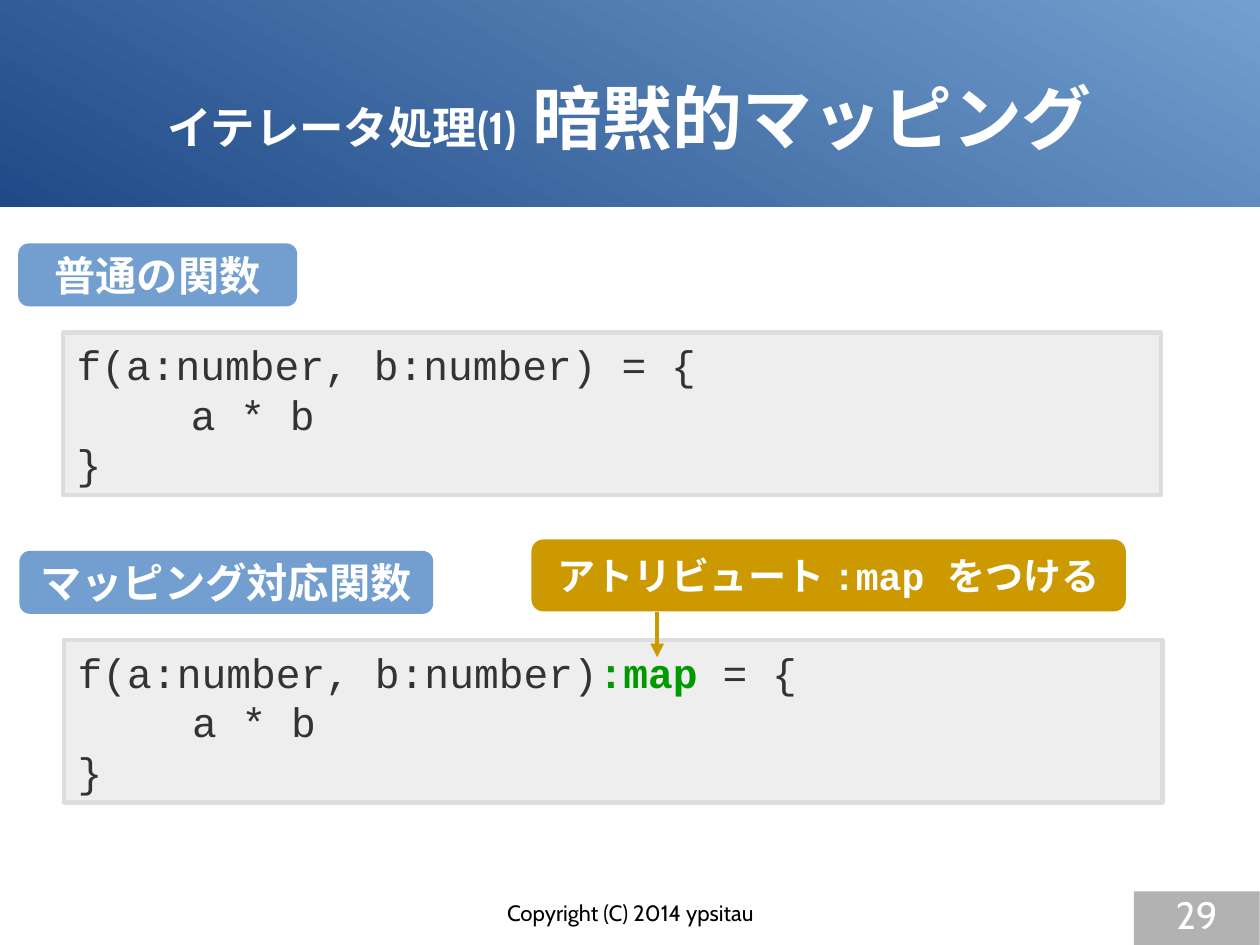
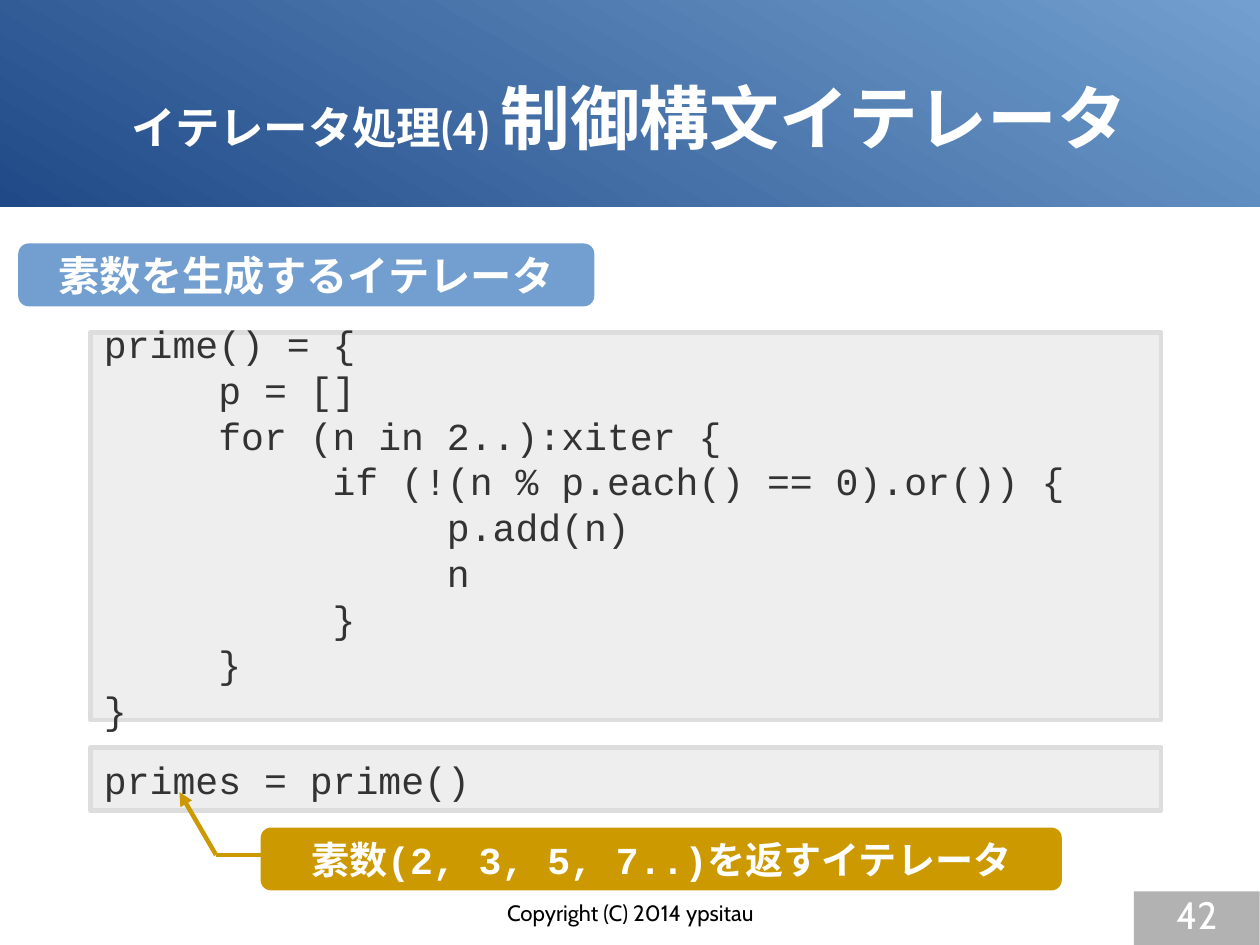
from pptx import Presentation
from pptx.dml.color import RGBColor
from pptx.enum.shapes import MSO_CONNECTOR, MSO_SHAPE
from pptx.enum.text import MSO_ANCHOR, MSO_AUTO_SIZE, PP_ALIGN
from pptx.oxml.ns import qn
from pptx.util import Inches, Pt
from lxml.etree import SubElement

COLORS = {
    "navy": "204A87", "sky": "729FCF", "gold": "CC9900", "green": "009900",
    "panel": "EEEEEE", "border": "DDDDDD", "code": "333333",
    "gray": "B2B2B2", "white": "FFFFFF", "black": "000000",
}
SANS = "Cabin"
MONO = "Courier New"
LINE_WIDTH = Pt(2.83)

STYLES = {
    "code": dict(shape=MSO_SHAPE.RECTANGLE, fill="panel", line="border", font=MONO, color="code",
                 bold=False, align=PP_ALIGN.LEFT, anchor=MSO_ANCHOR.MIDDLE, inset=(0.12, 0.07)),
    "heading": dict(shape=MSO_SHAPE.ROUNDED_RECTANGLE, fill="sky", line=None, font=SANS, color="white",
                    bold=True, align=PP_ALIGN.CENTER, anchor=MSO_ANCHOR.MIDDLE, inset=(0.1, 0.05)),
    "callout": dict(shape=MSO_SHAPE.ROUNDED_RECTANGLE, fill="gold", line=None, font=MONO, color="white",
                    bold=True, align=PP_ALIGN.CENTER, anchor=MSO_ANCHOR.MIDDLE, inset=(0.1, 0.05)),
    "footer": dict(shape=MSO_SHAPE.RECTANGLE, fill=None, line=None, font=SANS, color="black",
                   bold=False, align=PP_ALIGN.CENTER, anchor=MSO_ANCHOR.TOP, inset=(0, 0)),
    "number": dict(shape=MSO_SHAPE.RECTANGLE, fill="gray", line=None, font=SANS, color="white",
                   bold=False, align=PP_ALIGN.CENTER, anchor=MSO_ANCHOR.TOP, inset=(0, 0)),
}

SLIDES = [
    {
        "title": [("イテレータ処理(1)", 28), (" 暗黙的マッピング", 44)],
        "number": "29",
        "boxes": [
            ("code", (0.55, 2.91, 9.61, 1.42), 26, ["f(a:number, b:number) = {", "\ta * b", "}"]),
            ("heading", (0.16, 2.13, 2.44, 0.55), 26, ["普通の関数"]),
            ("code", (0.56, 5.6, 9.61, 1.42), 26, ["f(a:number, b:number)|:map| = {", "\ta * b", "}"]),
            ("heading", (0.17, 4.82, 3.62, 0.55), 26, ["マッピング対応関数"]),
            ("callout", (4.65, 4.72, 5.2, 0.63), 24, ["アトリビュート :map をつける"]),
        ],
        "lines": [((5.75, 5.75), (5.75, 5.35), True)],
    },
    {
        "title": [("イテレータ処理(4) ", 28), ("制御構文イテレータ", 44)],
        "number": "42",
        "boxes": [
            ("code", (0.79, 2.91, 9.37, 3.39), 24, [
                "prime() = {",
                "\tp = []",
                "\tfor (n in 2..):xiter {",
                "\t\tif (!(n % p.each() == 0).or()) {",
                "\t\t\tp.add(n)",
                "\t\t\tn",
                "\t\t}",
                "\t}",
                "}",
            ]),
            ("code", (0.79, 6.54, 9.37, 0.55), 24, ["primes = prime()"]),
            ("callout", (2.28, 7.24, 7.01, 0.55), 24, ["素数(2, 3, 5, 7..)を返すイテレータ"]),
            ("heading", (0.16, 2.13, 5.04, 0.55), 26, ["素数を生成するイテレータ"]),
        ],
        "lines": [((1.89, 7.48), (2.32, 7.48), False), ((1.57, 6.93), (1.89, 7.48), True)],
    },
]


def rgb(name):
    return RGBColor.from_string(COLORS[name])


def add_box(slide, kind, bounds, size, lines):
    style = STYLES[kind]
    shape = slide.shapes.add_shape(style["shape"], *map(Inches, bounds))
    shape.shadow.inherit = False
    if style["fill"]:
        shape.fill.solid()
        shape.fill.fore_color.rgb = rgb(style["fill"])
    else:
        shape.fill.background()
    if style["line"]:
        shape.line.color.rgb = rgb(style["line"])
        shape.line.width = LINE_WIDTH
    else:
        shape.line.fill.background()
    frame = shape.text_frame
    frame.word_wrap = True
    frame.vertical_anchor = style["anchor"]
    frame.margin_left = frame.margin_right = Inches(style["inset"][0])
    frame.margin_top = frame.margin_bottom = Inches(style["inset"][1])
    for index, line in enumerate(lines):
        paragraph = frame.add_paragraph() if index else frame.paragraphs[0]
        paragraph.alignment = style["align"]
        depth = line.count("\t")
        if depth:
            tab_list = SubElement(paragraph._p.get_or_add_pPr(), qn("a:tabLst"))
            for stop in range(1, depth + 1):
                SubElement(tab_list, qn("a:tab"), pos=str(Inches(stop)), algn="l")
        for part, text in enumerate(line.split("|")):
            highlighted = part % 2 == 1
            run = paragraph.add_run()
            run.text = text
            run.font.name = style["font"]
            run.font.size = Pt(size)
            run.font.bold = style["bold"] or highlighted
            run.font.color.rgb = rgb("green" if highlighted else style["color"])


presentation = Presentation()
presentation.slide_width = Inches(28 / 2.54)
presentation.slide_height = Inches(21 / 2.54)
layout = presentation.slide_layouts.get_by_name("Title Only")

layout_title = layout.placeholders[0]
layout_title.left, layout_title.top = Inches(0.55), Inches(0.33)
layout_title.width, layout_title.height = Inches(9.92), Inches(1.38)
title_frame = layout_title.text_frame
title_frame.vertical_anchor = MSO_ANCHOR.MIDDLE
title_frame.auto_size = MSO_AUTO_SIZE.NONE
title_frame.margin_left = title_frame.margin_right = 0
title_frame.margin_top = title_frame.margin_bottom = 0

for page, content in enumerate(SLIDES):
    slide = presentation.slides.add_slide(layout)
    if page == 0:
        band = slide.shapes.add_shape(MSO_SHAPE.RECTANGLE, 0, 0, presentation.slide_width, Inches(1.81))
        band.shadow.inherit = False
        band.line.fill.background()
        band.fill.gradient()
        band.fill.gradient_angle = 60
        for stop, name in zip(band.fill.gradient_stops, ("navy", "sky")):
            stop.color.rgb = rgb(name)
        layout_title._element.addprevious(band._element)

    paragraph = slide.shapes.title.text_frame.paragraphs[0]
    paragraph.alignment = PP_ALIGN.CENTER
    for text, size in content["title"]:
        run = paragraph.add_run()
        run.text = text
        run.font.name = SANS
        run.font.size = Pt(size)
        run.font.bold = True
        run.font.color.rgb = rgb("white")

    for box in content["boxes"]:
        add_box(slide, *box)

    for start, end, has_arrow in content["lines"]:
        connector = slide.shapes.add_connector(MSO_CONNECTOR.STRAIGHT, *map(Inches, start + end))
        connector.line.color.rgb = rgb("gold")
        connector.line.width = LINE_WIDTH
        if has_arrow:
            SubElement(connector.line._get_or_add_ln(), qn("a:headEnd"), type="triangle")
        SubElement(connector._element.spPr, qn("a:effectLst"))

    add_box(slide, "footer", (3.77, 7.87, 3.49, 0.41), 14, ["Copyright (C) 2014 ypsitau"])
    add_box(slide, "number", (9.92, 7.8, 1.1, 0.47), 24, [content["number"]])

presentation.save("out.pptx")
